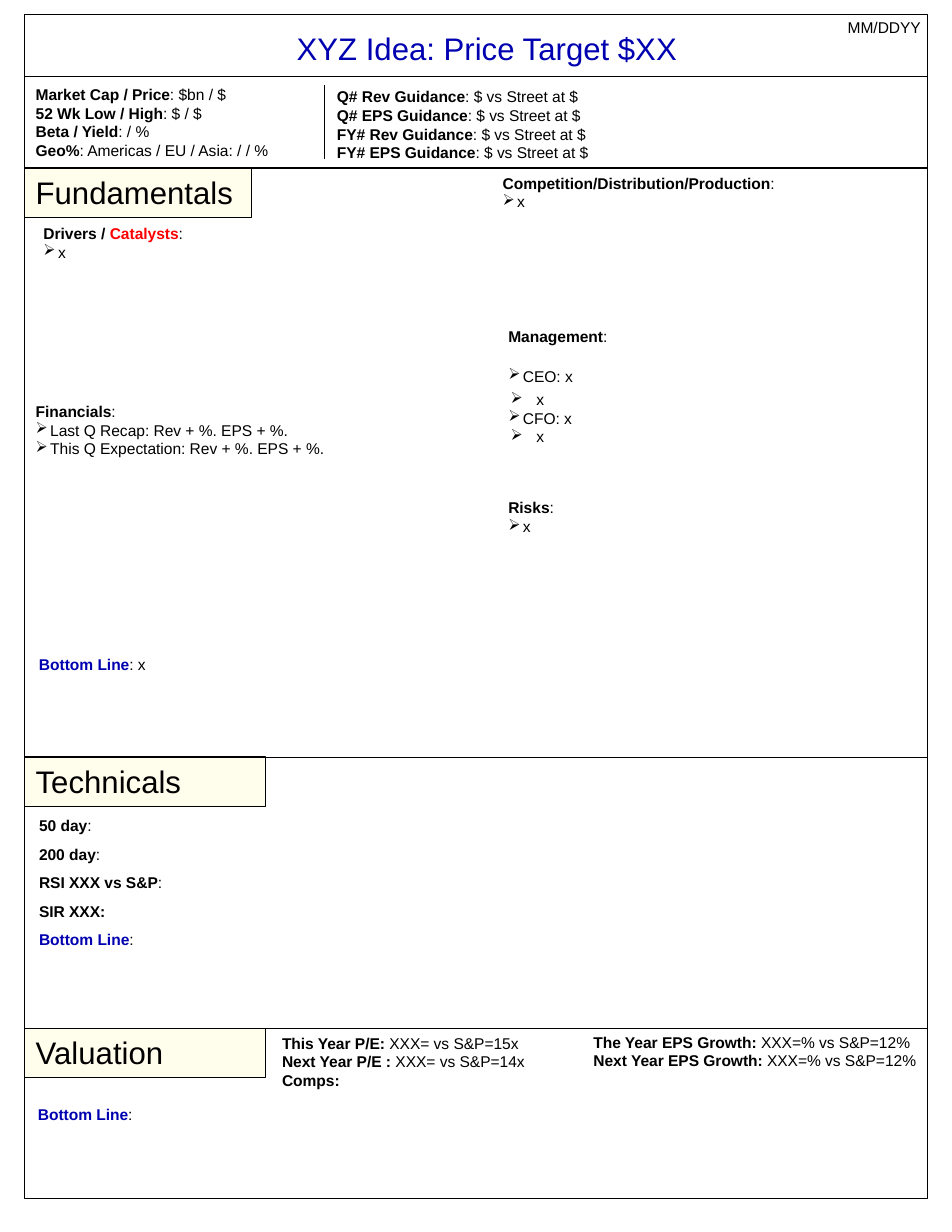
from dataclasses import dataclass

from lxml.etree import SubElement
from pptx import Presentation
from pptx.dml.color import RGBColor
from pptx.enum.shapes import MSO_CONNECTOR, MSO_SHAPE
from pptx.enum.text import MSO_ANCHOR, PP_ALIGN
from pptx.oxml.ns import qn
from pptx.util import Inches, Pt


@dataclass(frozen=True)
class Theme:
    font: str = "Arial"
    ink: str = "000000"
    blue: str = "0100B1"
    red: str = "FF0000"
    cream: str = "FFFDEB"
    body: float = 10
    head: float = 20
    rule: float = 0.75
    gap: float = 6.2


@dataclass(frozen=True)
class Box:
    left: float
    top: float
    width: float
    height: float

    def inner(self, left, top, width, height):
        """A box placed from this box's top left corner."""
        return Box(self.left + left, self.top + top, width, height)

    def sizes(self):
        return [Inches(n) for n in (self.left, self.top, self.width, self.height)]


@dataclass(frozen=True)
class Item:
    """A bullet line, with extra points above and below it."""
    text: str
    level: int = 1
    before: float = 0
    after: float = 0


THEME = Theme()
PAGE = Box(0.22, 0.13, 8.06, 10.57)
HANGS = {1: (0.13, -0.13), 2: (0.25, -0.23)}


def label(name, rest=":", color=THEME.ink):
    """A bold name, then plain text."""
    return [(name, True, color), (rest, False, THEME.ink)]


def bullet(para, level):
    left, hang = HANGS[level]
    props = para._p.get_or_add_pPr()
    props.set("marL", str(Inches(left)))
    props.set("indent", str(Inches(hang)))
    tint = SubElement(props, qn("a:buClr"))
    SubElement(tint, qn("a:srgbClr"), val=THEME.ink)
    SubElement(props, qn("a:buChar"), char="➢")
    para.level = level


def fill_text(frame, lines, size=THEME.body, color=THEME.ink,
              gap=0, align=PP_ALIGN.LEFT):
    """Each line is a string, an Item or a list of (text, bold, color)."""
    frame.word_wrap = True
    frame.vertical_anchor = MSO_ANCHOR.TOP
    for i, line in enumerate(lines):
        para = frame.paragraphs[0] if i == 0 else frame.add_paragraph()
        para.alignment = align
        if i and gap:
            para.space_before = Pt(gap)
        if isinstance(line, Item):
            para.space_before = Pt(line.before)
            para.space_after = Pt(line.after)
            bullet(para, line.level)
            line = line.text
        runs = [(line, False, color)] if isinstance(line, str) else line
        for text, bold, tint in runs:
            run = para.add_run()
            run.text = text
            run.font.name = THEME.font
            run.font.size = Pt(size)
            run.font.bold = bold
            run.font.color.rgb = RGBColor.from_string(tint)


def write(slide, box, *lines, **form):
    fill_text(slide.shapes.add_textbox(*box.sizes()).text_frame, lines, **form)


def panel(slide, box, fill=None):
    shape = slide.shapes.add_shape(MSO_SHAPE.RECTANGLE, *box.sizes())
    shape.shadow.inherit = False
    if fill:
        shape.fill.solid()
        shape.fill.fore_color.rgb = RGBColor.from_string(fill)
    else:
        shape.fill.background()
    shape.line.color.rgb = RGBColor.from_string(THEME.ink)
    shape.line.width = Pt(THEME.rule)
    return shape


def rule(slide, box):
    """A line from the box's top left to its bottom right corner."""
    left, top, width, height = box.sizes()
    line = slide.shapes.add_connector(
        MSO_CONNECTOR.STRAIGHT, left, top, left + width, top + height)
    line.line.color.rgb = RGBColor.from_string(THEME.ink)
    line.line.width = Pt(THEME.rule)
    SubElement(line._element.spPr, qn("a:effectLst"))


def banner(slide, box, name, width):
    """A rule across the top of a section, with its name on a tab."""
    rule(slide, box.inner(0, 0, box.width, 0))
    tab = panel(slide, box.inner(0, 0, width, 0.44), THEME.cream)
    fill_text(tab.text_frame, [name], size=THEME.head)


def title(slide, box):
    write(slide, box.inner(2.33, 0.08, 4.62, 0.44), "XYZ Idea: Price Target $XX",
          size=THEME.head, color=THEME.blue)
    write(slide, box.inner(4.9, -0.02, 3.2, 0.27), "MM/DDYY", align=PP_ALIGN.RIGHT)


def summary(slide, box):
    rule(slide, box.inner(0, 0, box.width, 0))
    rule(slide, box.inner(2.68, 0.08, 0, 0.66))
    write(slide, box.inner(0, 0.03, 3.25, 0.77),
          label("Market Cap / Price", ": $bn / $"),
          label("52 Wk Low / High", ": $ / $"),
          label("Beta / Yield", ": / %"),
          label("Geo%", ": Americas / EU / Asia: / / %"))
    write(slide, box.inner(2.69, 0.05, 5.26, 0.77),
          *[label(f"{term} {kind} Guidance", ": $ vs Street at $")
            for term in ("Q#", "FY#") for kind in ("Rev", "EPS")])


def basics(slide, box):
    banner(slide, box, "Fundamentals", 2.03)
    write(slide, box.inner(0.07, 0.45, 4, 1.27),
          [("Drivers / ", True, THEME.ink), *label("Catalysts", color=THEME.red)],
          Item("x"))
    write(slide, box.inner(0, 2.04, 4.08, 0.77), label("Financials"),
          Item("Last Q Recap: Rev + %. EPS + %."),
          Item("This Q Expectation: Rev + %. EPS + %."))
    write(slide, box.inner(4.17, 0, 3.83, 0.44),
          label("Competition/Distribution/Production"), Item("x"))
    write(slide, box.inner(4.22, 1.37, 3.81, 1.17), label("Management"),
          Item("CEO: x", before=13.5, after=3), Item("x", level=2),
          Item("CFO: x"), Item("x", level=2))
    write(slide, box.inner(4.22, 2.9, 4.06, 0.77), label("Risks"), Item("x"))
    write(slide, box.inner(0.03, 4.3, 7.96, 0.27),
          label("Bottom Line", ": x", THEME.blue))


def trends(slide, box):
    banner(slide, box, "Technicals", 2.15)
    write(slide, box.inner(0.03, 0.48, 2.88, 1.28),
          label("50 day"), label("200 day"), label("RSI XXX vs S&P"),
          [("SIR XXX:", True, THEME.ink)],
          label("Bottom Line", color=THEME.blue), gap=THEME.gap)


def value(slide, box):
    banner(slide, box, "Valuation", 2.15)
    write(slide, box.inner(2.2, 0, 4.47, 0.6),
          label("This Year P/E: ", "XXX= vs S&P=15x"),
          label("Next Year P/E : ", "XXX= vs S&P=14x"),
          [("Comps:", True, THEME.ink)])
    write(slide, box.inner(4.98, -0.01, 3.78, 0.77),
          *[label(f"{year} Year EPS Growth: ", "XXX=% vs S&P=12%")
            for year in ("The", "Next")])
    write(slide, box.inner(0.02, 0.64, 7.94, 0.27),
          label("Bottom Line", color=THEME.blue))


def main():
    deck = Presentation()
    deck.slide_width, deck.slide_height = Inches(8.5), Inches(11)
    slide = deck.slides.add_slide(deck.slide_layouts[6])
    panel(slide, PAGE)
    draws = (title, summary, basics, trends, value)
    edges = (0, 0.55, 1.37, 6.63, 9.05, PAGE.height)
    for draw, top, end in zip(draws, edges, edges[1:]):
        draw(slide, PAGE.inner(0, top, PAGE.width, end - top))
    deck.save("out.pptx")


if __name__ == "__main__":
    main()
